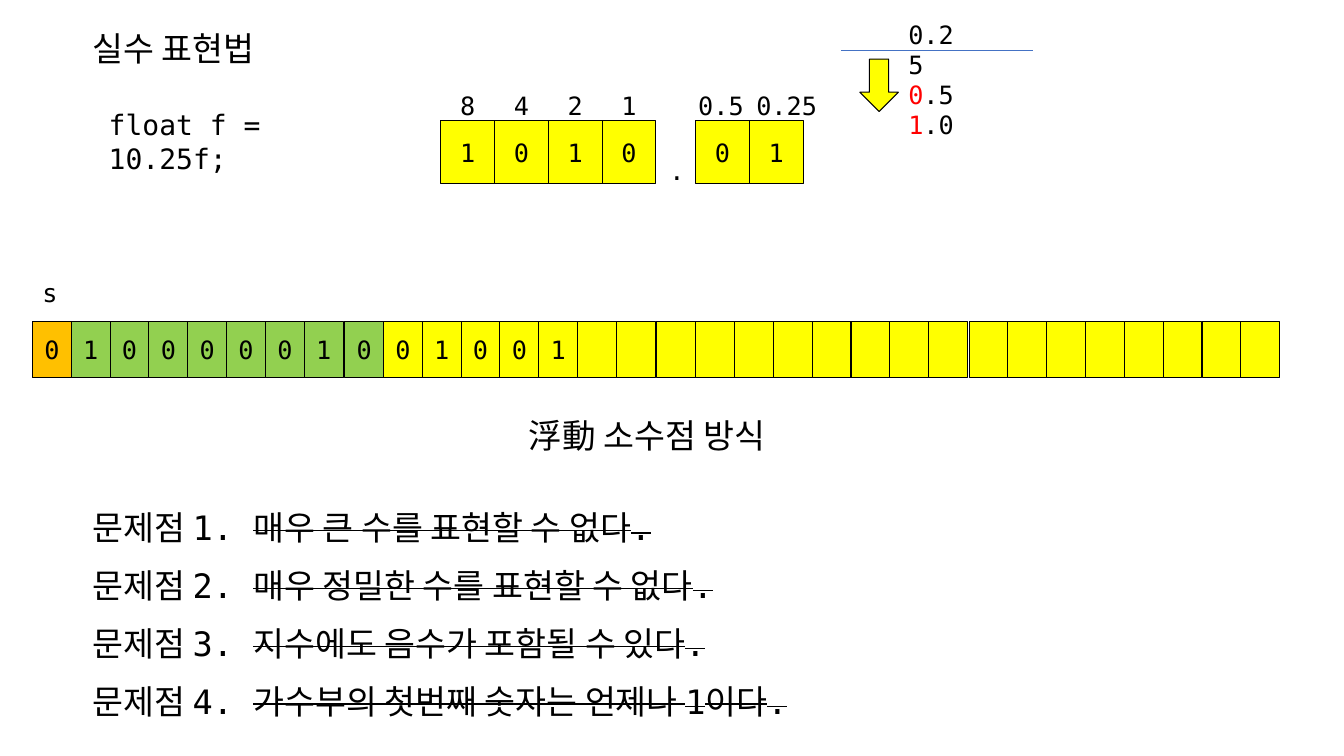
from dataclasses import dataclass
from lxml.etree import SubElement
from pptx import Presentation
from pptx.dml.color import RGBColor
from pptx.enum.shapes import MSO_CONNECTOR, MSO_SHAPE
from pptx.enum.text import MSO_ANCHOR, MSO_AUTO_SIZE, PP_ALIGN
from pptx.oxml.ns import qn
from pptx.util import Cm, Pt


@dataclass(frozen=True)
class Theme:
    font: str = "DejaVu Sans Mono"
    black: str = "000000"
    red: str = "FF0000"
    blue: str = "4472C4"
    yellow: str = "FFFF00"
    orange: str = "FFC000"
    green: str = "92D050"
    large: int = 24
    code: int = 20
    small: int = 18
    edge: float = 0.75
    rule: float = 0.5


THEME = Theme()


def write(shape, text, size=THEME.small, center=False):
    """Text is a string, or a list of paragraphs of (words, colour, struck)."""
    frame = shape.text_frame
    frame.word_wrap = True
    if center:
        frame.vertical_anchor = MSO_ANCHOR.MIDDLE
    else:
        frame.auto_size = MSO_AUTO_SIZE.SHAPE_TO_FIT_TEXT
    lines = [[(text, THEME.black, False)]] if isinstance(text, str) else text
    for i, line in enumerate(lines):
        par = frame.add_paragraph() if i else frame.paragraphs[0]
        par.alignment = PP_ALIGN.CENTER if center else PP_ALIGN.LEFT
        for words, color, struck in line:
            run = par.add_run()
            run.text = words
            run.font.size = Pt(size)
            run.font.color.rgb = RGBColor.from_string(color)
            run.font.name = THEME.font
            if struck:
                run.font._element.set("strike", "sngStrike")


def label(slide, text, box, **fmt):
    shape = slide.shapes.add_textbox(*map(Cm, box))
    write(shape, text, **fmt)


def block(slide, kind, box, fill):
    shape = slide.shapes.add_shape(kind, *map(Cm, box))
    shape.shadow.inherit = False
    shape.fill.solid()
    shape.fill.fore_color.rgb = RGBColor.from_string(fill)
    shape.line.color.rgb = RGBColor.from_string(THEME.black)
    shape.line.width = Pt(THEME.edge)
    return shape


def cells(slide, box, bits, fills):
    """Split the box evenly into one cell per bit."""
    left, top, width, height = box
    step = width / len(bits)
    for i, (bit, fill) in enumerate(zip(bits, fills)):
        shape = block(slide, MSO_SHAPE.RECTANGLE,
                      (left + i * step, top, step, height), fill)
        if bit.strip():
            write(shape, bit, center=True)


def binary(slide, box):
    """Fixed-point digits with their place values above."""
    left, top, width, height = box
    step = width / 4
    part = left + 6.42
    cells(slide, box, "1010", [THEME.yellow] * 4)
    cells(slide, (part, top, 2 * step, height), "01", [THEME.yellow] * 2)
    label(slide, ".", (left + 5.51, top + 0.74, 0.86, 1.02))
    marks = [(str(2 ** (3 - i)), left + i * step, step) for i in range(4)]
    marks += [("0.5", part - 0.2, 1.68), ("0.25", part + 1.15, 2.29)]
    for mark, spot, wide in marks:
        label(slide, mark, (spot, top - 1.18, wide, height), center=True)


def doubling(slide, box):
    """Repeated doubling of the fraction, read downwards."""
    left, top, width, height = box
    black, red = THEME.black, THEME.red
    label(slide, [[("0.25", black, False)],
                  [("0", red, False), (".5", black, False)],
                  [("1", red, False), (".0", black, False)]],
          (left + 1.45, top, 1.93, height))
    rule = slide.shapes.add_connector(
        MSO_CONNECTOR.STRAIGHT, Cm(left), Cm(top + 0.92),
        Cm(left + width), Cm(top + 0.92))
    rule.line.color.rgb = RGBColor.from_string(THEME.blue)
    rule.line.width = Pt(THEME.rule)
    SubElement(rule._element.spPr, qn("a:effectLst"))
    block(slide, MSO_SHAPE.DOWN_ARROW,
          (left + 0.48, top + 1.14, 0.97, 1.32), THEME.yellow)


def float_bits(slide, box):
    """Sign, exponent and mantissa as four bytes."""
    left, top, width, height = box
    bits = "01000001001001".ljust(32)
    fills = [THEME.orange] + [THEME.green] * 8 + [THEME.yellow] * 23
    gap = 0.04
    wide = (width - 3 * gap) / 4
    for i in range(4):
        part = slice(8 * i, 8 * i + 8)
        cells(slide, (left + i * (wide + gap), top, wide, height),
              bits[part], fills[part])
    label(slide, "s", (left, top - 1.24, 0.86, 1.02))


def issues(slide, box):
    """Numbered problems, each one crossed out."""
    left, top, width, pitch = box
    items = ["매우 큰 수를 표현할 수 없다.", "매우 정밀한 수를 표현할 수 없다.",
             "지수에도 음수가 포함될 수 있다.", "가수부의 첫번째 숫자는 언제나 1이다."]
    for i, item in enumerate(items):
        label(slide, [[(f"문제점 {i + 1}. ", THEME.black, False),
                       (item, THEME.black, True)]],
              (left, top + i * pitch, width, 1.27), size=THEME.large)


def main():
    deck = Presentation()
    deck.slide_width, deck.slide_height = Cm(33.87), Cm(19.05)
    slide = deck.slides.add_slide(deck.slide_layouts[6])
    # Title and code
    label(slide, "실수 표현법", (2.08, 0.58, 5.26, 1.27), size=THEME.large)
    label(slide, "float f = 10.25f;", (2.49, 2.59, 7.16, 1.12),
          size=THEME.code)
    # Number diagrams
    binary(slide, (11.11, 3.04, 5.42, 1.58))
    doubling(slide, (21.19, 0.35, 4.85, 2.57))
    float_bits(slide, (0.82, 8.1, 31.43, 1.42))
    # Method name and its problems
    label(slide, "浮動 소수점 방식", (13.08, 10.34, 7.44, 1.27),
          size=THEME.large)
    issues(slide, (2.08, 12.65, 20.62, 1.46))
    deck.save("out.pptx")


if __name__ == "__main__":
    main()
